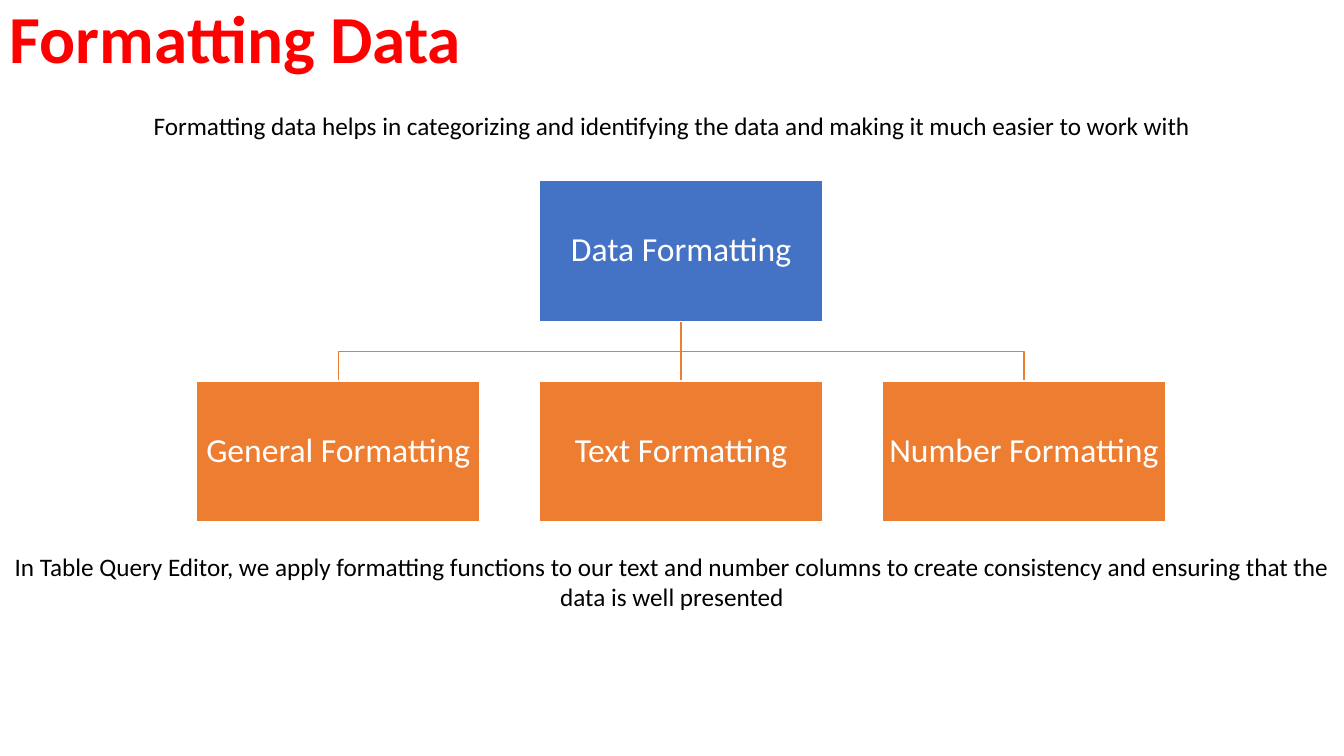
from pptx import Presentation
from pptx.dml.color import RGBColor
from pptx.enum.shapes import MSO_SHAPE
from pptx.enum.text import MSO_ANCHOR, PP_ALIGN
from pptx.util import Inches, Pt

RECT = MSO_SHAPE.RECTANGLE
TOP, MIDDLE = MSO_ANCHOR.TOP, MSO_ANCHOR.MIDDLE
LEFT, CENTER = PP_ALIGN.LEFT, PP_ALIGN.CENTER
BLUE, ORANGE, RED = "4472C4", "ED7D31", "FF0000"
WHITE, BLACK = "FFFFFF", "000000"
SLIDE_W, SLIDE_H = 13.33, 7.5


def color(value):
    return RGBColor.from_string(value)


def write(sp, text, size, ink, align=CENTER, anchor=MIDDLE, bold=False, spacing=0.9):
    tf = sp.text_frame
    tf.word_wrap = True
    tf.vertical_anchor = anchor
    p = tf.paragraphs[0]
    p.text = text
    p.alignment = align
    p.line_spacing = spacing
    font = p.runs[0].font
    font.name, font.size, font.bold = "Calibri", Pt(size), bold
    font.color.rgb = color(ink)


def add_title(s, x, y, w, h, text):
    sp = s.shapes.add_textbox(*map(Inches, (x, y, w, h)))
    write(sp, text, 48, RED, align=LEFT, bold=True)


def add_statement(s, x, y, w, h, text):
    sp = s.shapes.add_textbox(*map(Inches, (x, y, w, h)))
    write(sp, text, 18, BLACK, anchor=TOP, spacing=1.0)


def add_node(s, x, y, w, h, text, fill):
    sp = s.shapes.add_shape(RECT, *map(Inches, (x, y, w, h)))
    sp.shadow.inherit = False
    sp.fill.solid()
    sp.fill.fore_color.rgb = color(fill)
    sp.line.color.rgb = color(WHITE)
    sp.line.width = Pt(1)
    tf = sp.text_frame
    tf.margin_left = tf.margin_right = tf.margin_top = tf.margin_bottom = Inches(0.02)
    write(sp, text, 24, WHITE)


def add_branch(s, x1, y1, x2, y2):
    """Draw a line from parent to child that turns halfway down."""
    mid = (y1 + y2) / 2
    points = [(x2, y2)] if x1 == x2 else [(x1, mid), (x2, mid), (x2, y2)]
    builder = s.shapes.build_freeform(Inches(x1), Inches(y1))
    builder.add_line_segments([(Inches(x), Inches(y)) for x, y in points], close=False)
    sp = builder.convert_to_shape()
    sp.shadow.inherit = False
    sp.fill.background()
    sp.line.color.rgb = color(ORANGE)
    sp.line.width = Pt(1)


def add_hierarchy(s, x, y, w, h, root, children):
    """Centre the root over a row of children that fills the box width."""
    node_w, node_h = 2.81, 1.4
    step = (w - node_w) / (len(children) - 1)
    root_x = x + (w - node_w) / 2
    child_y = y + h - node_h
    lefts = [x + i * step for i in range(len(children))]
    for left in lefts:
        add_branch(s, root_x + node_w / 2, y + node_h, left + node_w / 2, child_y)
    add_node(s, root_x, y, node_w, node_h, root, BLUE)
    for left, text in zip(lefts, children):
        add_node(s, left, child_y, node_w, node_h, text, ORANGE)


def main():
    prs = Presentation()
    prs.slide_width, prs.slide_height = Inches(SLIDE_W), Inches(SLIDE_H)
    s = prs.slides.add_slide(prs.slide_layouts[6])
    add_title(s, 0, 0, 4.91, 0.82, "Formatting Data")
    add_statement(s, 0, 1.05, SLIDE_W, 0.4,
                  "Formatting data helps in categorizing and identifying the data "
                  "and making it much easier to work with")
    add_statement(s, 0, 5.42, SLIDE_W, 0.71,
                  "In Table Query Editor, we apply formatting functions to our text "
                  "and number columns to create consistency and ensuring that "
                  "the data is well presented")
    add_hierarchy(s, 1.95, 1.79, 9.61, 3.39, "Data Formatting",
                  ["General Formatting", "Text Formatting", "Number Formatting"])
    prs.save("out.pptx")


if __name__ == "__main__":
    main()
